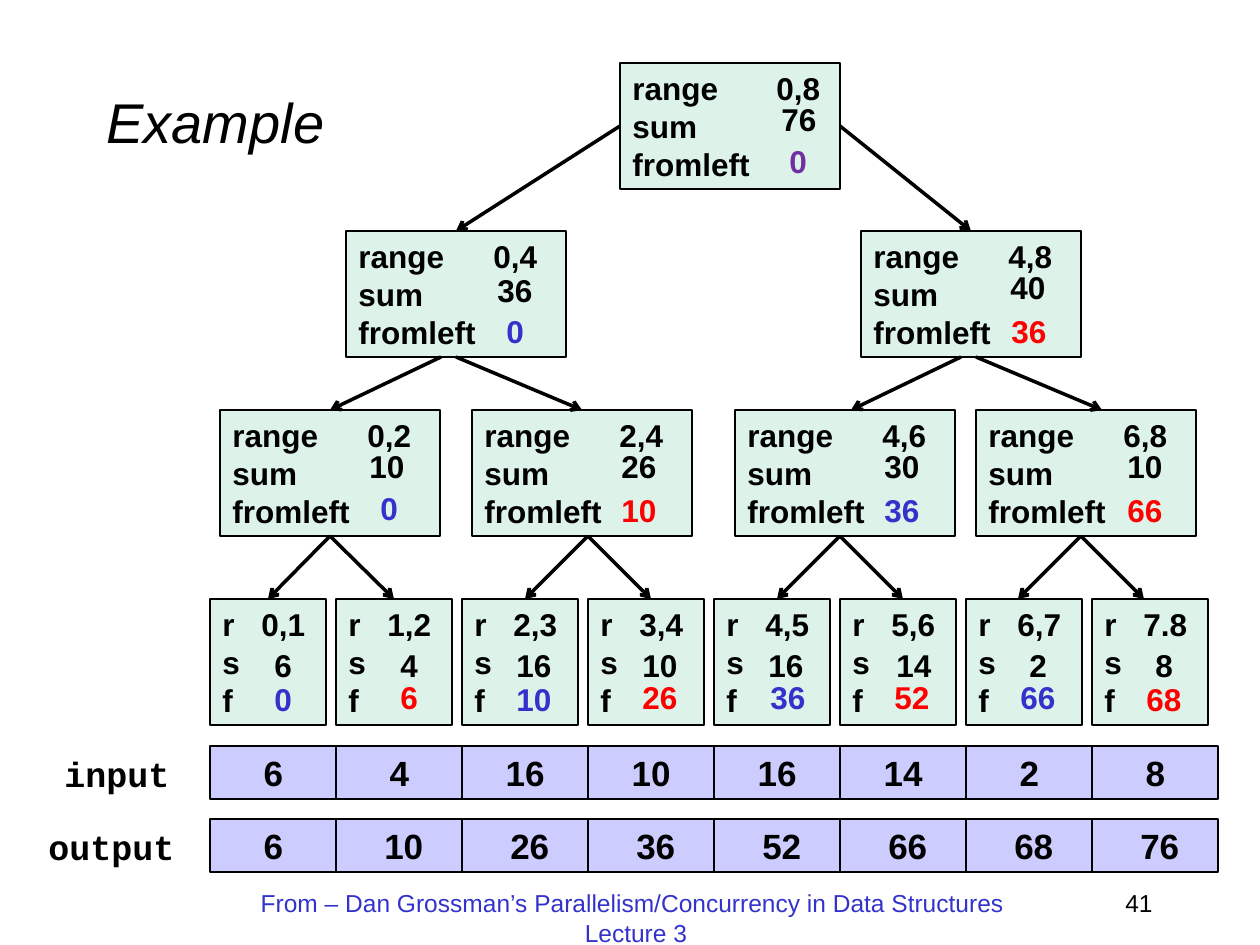
from dataclasses import dataclass

from lxml import etree
from pptx import Presentation
from pptx.dml.color import RGBColor
from pptx.enum.shapes import MSO_CONNECTOR, MSO_SHAPE
from pptx.enum.text import MSO_ANCHOR, MSO_AUTO_SIZE, PP_ALIGN
from pptx.oxml.ns import qn
from pptx.util import Emu, Pt

RECT = MSO_SHAPE.RECTANGLE
LINE = MSO_CONNECTOR.STRAIGHT
TOP, MID = MSO_ANCHOR.TOP, MSO_ANCHOR.MIDDLE
LEFT, CENTER, RIGHT = PP_ALIGN.LEFT, PP_ALIGN.CENTER, PP_ALIGN.RIGHT
FIT = MSO_AUTO_SIZE.SHAPE_TO_FIT_TEXT

BLACK, BLUE, RED, PURPLE = "000000", "3333CC", "FF0000", "7030A0"
MINT, LILAC = "DDF3EA", "CCCCFF"
SIDE, STEP = 210, 126  # left edge and pitch of the eight columns


@dataclass
class Value:
    x: int
    y: int
    text: str
    color: str = BLACK


@dataclass
class Node:
    x: int
    y: int
    span: str
    total: Value
    prior: Value
    tab: int = 135


@dataclass
class Link:
    x1: int
    y1: int
    x2: int
    y2: int


def px(n: int) -> Emu:
    return Emu(round(n * 914400 / 126))


def rgb(code: str) -> RGBColor:
    return RGBColor.from_string(code)


def write(shape, lines: list[str], size: int, color: str = BLACK, bold: bool = False,
          italic: bool = False, align=LEFT, anchor=TOP, font: str = "Arial",
          wrap: bool = True, tab: int = 0) -> None:
    frame = shape.text_frame
    frame.word_wrap = wrap
    frame.vertical_anchor = anchor
    for i, line in enumerate(lines):
        para = frame.add_paragraph() if i else frame.paragraphs[0]
        para.text = line
        para.alignment = align
        if tab and "\t" in line:
            stops = etree.SubElement(para._p.get_or_add_pPr(), qn("a:tabLst"))
            etree.SubElement(stops, qn("a:tab"), pos=str(px(tab)), algn="l")
        para.font.name, para.font.size = font, Pt(size)
        para.font.bold, para.font.italic = bold, italic
        para.font.color.rgb = rgb(color)


def label(slide, x: int, y: int, w: int, h: int, text: str, size: int, **style) -> None:
    box = slide.shapes.add_textbox(px(x), px(y), px(w), px(h))
    write(box, [text], size, **style)
    if not style.get("wrap", True):
        box.text_frame.auto_size = FIT


def block(slide, x: int, y: int, w: int, h: int, fill: str):
    box = slide.shapes.add_shape(RECT, px(x), px(y), px(w), px(h))
    box.shadow.inherit = False
    box.fill.solid()
    box.fill.fore_color.rgb = rgb(fill)
    box.line.color.rgb = rgb(BLACK)
    box.line.width = Pt(0.75)
    return box


def site(boxes: list, x: int, y: int):
    """Find the box and side whose middle lies at a point."""
    for box in boxes:
        cx, cy = box.left + box.width // 2, box.top + box.height // 2
        spots = [(cx, box.top), (box.left, cy),
                 (cx, box.top + box.height), (box.left + box.width, cy)]
        for i, (sx, sy) in enumerate(spots):
            if max(abs(sx - px(x)), abs(sy - px(y))) <= px(1):
                return box, i
    return None


def arrow(slide, link: Link, boxes: list) -> None:
    line = slide.shapes.add_connector(
        LINE, px(link.x1), px(link.y1), px(link.x2), px(link.y2))
    start, end = site(boxes, link.x1, link.y1), site(boxes, link.x2, link.y2)
    if start:
        line.begin_connect(*start)
    if end:
        line.end_connect(*end)
    line.line.color.rgb = rgb(BLACK)
    line.line.width = Pt(2)
    etree.SubElement(line.line._get_or_add_ln(), qn("a:tailEnd"), type="arrow")
    etree.SubElement(line._element.spPr, qn("a:effectLst"))


def value(slide, item: Value) -> None:
    wide = 60 if len(item.text) > 1 else 43
    label(slide, item.x, item.y, wide, 50, item.text, 18,
          color=item.color, bold=True, wrap=False)


NODES = [
    Node(620, 63, "0,8", Value(769, 94, "76"), Value(777, 136, "0", PURPLE), 144),
    Node(346, 231, "0,4", Value(485, 265, "36"), Value(494, 306, "0", BLUE)),
    Node(861, 231, "4,8", Value(998, 262, "40"), Value(999, 306, "36", RED)),
    Node(220, 410, "0,2", Value(357, 441, "10"), Value(368, 483, "0", BLUE)),
    Node(472, 410, "2,4", Value(609, 441, "26"), Value(609, 485, "10", RED)),
    Node(735, 410, "4,6", Value(872, 441, "30"), Value(872, 485, "36", BLUE)),
    Node(976, 410, "6,8", Value(1115, 441, "10"), Value(1115, 485, "66", RED)),
]
LEAVES = [
    Node(SIDE + i * STEP, 599, span, Value(sx, 640, total),
         Value(fx, fy, prior, RED if i % 2 else BLUE), 39)
    for i, (span, sx, total, fx, fy, prior) in enumerate([
        ("0,1", 262, "6", 262, 674, "0"), ("1,2", 388, "4", 388, 672, "6"),
        ("2,3", 504, "16", 504, 674, "10"), ("3,4", 630, "10", 630, 672, "26"),
        ("4,5", 756, "16", 758, 672, "36"), ("5,6", 884, "14", 882, 672, "52"),
        ("6,7", 1017, "2", 1008, 672, "66"), ("7.8", 1143, "8", 1134, 674, "68")])
]
LINKS = [
    Link(620, 126, 456, 231), Link(840, 126, 971, 231),
    Link(441, 357, 330, 410), Link(456, 357, 582, 410),
    Link(961, 357, 851, 410), Link(976, 357, 1102, 410),
] + [Link(x, 536, x + dx, 599) for x in (330, 588, 840, 1081) for dx in (-63, 63)]
# Name, label left, label width, top, left inset, numbers
ROWS = [
    ("input", 52, 131, 746, 13, [6, 4, 16, 10, 16, 14, 2, 8]),
    ("output", 36, 153, 819, 22, [6, 10, 26, 36, 52, 66, 68, 76]),
]


def main() -> None:
    deck = Presentation()
    deck.slide_width, deck.slide_height = px(1260), px(945)
    slide = deck.slides.add_slide(deck.slide_layouts[6])

    # Title and page number
    label(slide, 94, 42, 1071, 158, "Example", 32, italic=True, anchor=MID)
    label(slide, 903, 882, 262, 63, "41", 14, align=RIGHT)

    # Input and output arrays
    for name, x, w, y, inset, nums in ROWS:
        label(slide, x, y, w, 55, name, 20, bold=True, font="Courier New", wrap=False)
        for i, num in enumerate(nums):
            cell = block(slide, SIDE + i * STEP, y, STEP, 53, LILAC)
            write(cell, [str(num)], 20, bold=True, align=CENTER, anchor=MID, wrap=False)
            cell.text_frame.margin_left = px(inset if i else 13)

    # Tree boxes
    boxes = []
    for group, wide, names in ((NODES, 220, ("range", "sum", "fromleft")),
                               (LEAVES, 116, ("r", "s", "f"))):
        for node in group:
            box = block(slide, node.x, node.y, wide, 126, MINT)
            write(box, [f"{names[0]}\t{node.span}", *names[1:]], 18, bold=True, tab=node.tab)
            boxes.append(box)

    # Arrows from parents to children
    for link in LINKS:
        arrow(slide, link, boxes)

    # Sums, then values from the left
    for node in NODES + LEAVES:
        value(slide, node.total)
        value(slide, node.prior)

    # Footer
    label(slide, 242, 882, 788, 63,
          "From – Dan Grossman’s Parallelism/Concurrency in Data Structures \vLecture 3",
          14, color=BLUE, align=CENTER)

    deck.save("out.pptx")


if __name__ == "__main__":
    main()
